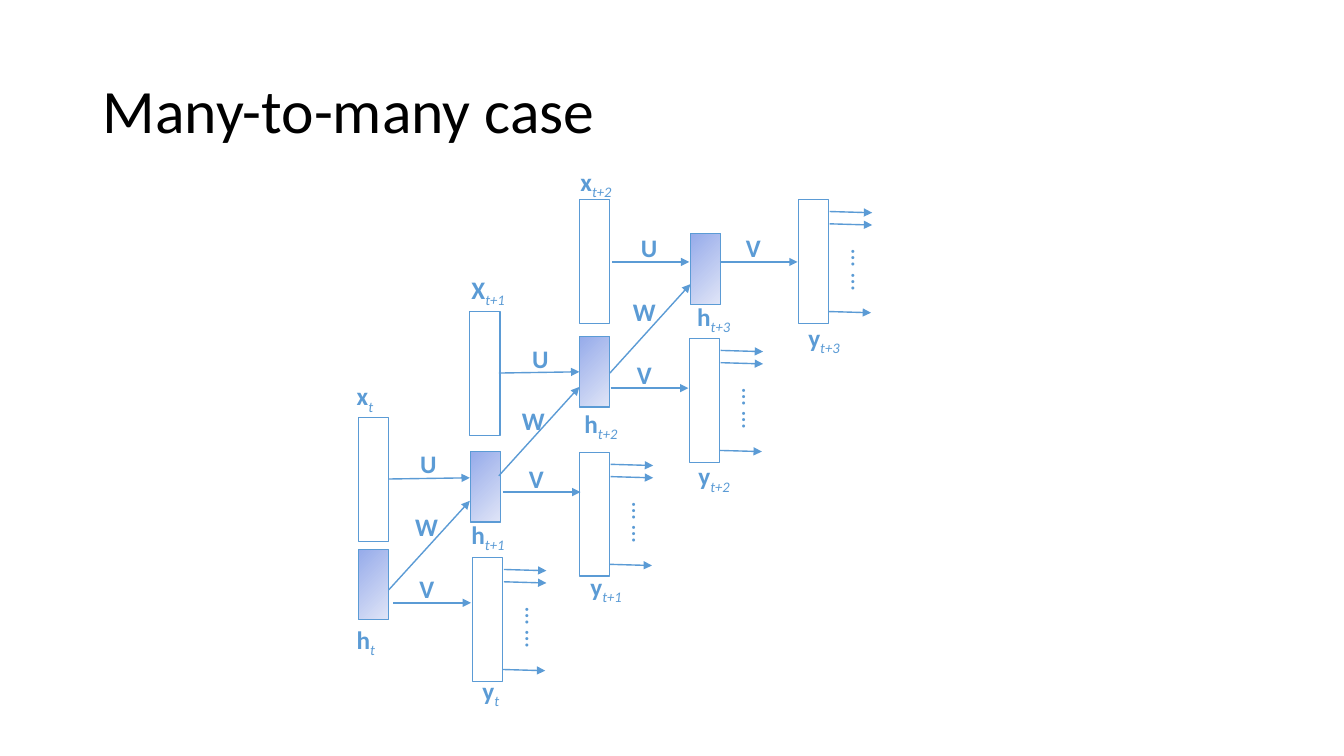
import dataclasses

import lxml.etree
import pptx
import pptx.dml.color
import pptx.enum.dml
import pptx.enum.shapes
import pptx.enum.text
import pptx.oxml
import pptx.oxml.ns
import pptx.util
from pptx.util import Cm


@dataclasses.dataclass(frozen=True)
class Theme:
    font: str = "Calibri"
    title_size: int = 44
    label_size: int = 18
    title_color: str = "000000"
    accent: str = "5B9BD5"
    plain: str = "FFFFFF"
    gradient: tuple = ("96ABEA", "E0E5F7")
    line_width: int = 1


BOX_WIDTH, TALL, SHORT = 0.76, 3.12, 1.78
LABEL_WIDTH, WEIGHT_WIDTH, LABEL_HEIGHT = 1.85, 0.99, 1.02
STEPS = ("t", "t+1", "t+2", "t+3")

INPUTS = [(9.04, 10.52), (11.84, 7.85), (14.6, 5.03)]
INPUT_LABELS = [("x", 8.74, 9.47), ("X", 11.63, 6.78), ("x", 14.38, 4.06)]
HIDDEN = [(9.04, 13.84), (11.86, 11.38), (14.6, 8.48), (17.4, 5.89)]
HIDDEN_LABELS = [("h", 8.74, 15.6), ("h", 11.63, 12.95),
                 ("h", 14.48, 10.16), ("h", 17.32, 7.47)]
OUTPUTS = [(11.91, 14.05), (14.6, 11.4), (17.37, 8.53), (20.12, 5.03)]
OUTPUT_LABELS = [("y", 11.91, 16.89), ("y", 14.63, 14.27),
                 ("y", 17.35, 11.48), ("y", 20.12, 8.0)]

WEIGHTS = {
    "U": [((9.8, 12.07), (11.84, 12.04), (10.34, 11.18)),
          ((12.57, 9.4), (14.6, 9.37), (13.16, 8.53)),
          ((15.42, 6.6), (17.37, 6.6), (15.9, 5.74))],
    "W": [((9.8, 14.86), (11.84, 12.62), (10.21, 12.75)),
          ((12.57, 11.99), (14.6, 9.75), (12.9, 10.08)),
          ((15.37, 9.4), (17.4, 7.16), (15.7, 7.34))],
    "V": [((x, y), (x + 1.96, y), (x + 0.41, y - 0.86))
          for x, y in [(9.91, 15.19), (12.67, 12.4), (15.39, 9.78), (18.14, 6.6)]],
}


def rgb(value):
    return pptx.dml.color.RGBColor.from_string(value)


class Diagram:
    """Draws network parts on one slide in one style, measured in centimetres."""

    def __init__(self, slide, theme):
        self.shapes = slide.shapes
        self.theme = theme

    def frame(self, x, y, width, height):
        frame = self.shapes.add_textbox(Cm(x), Cm(y), Cm(width), Cm(height)).text_frame
        frame.word_wrap = True
        return frame

    def run(self, frame, text, size, color, bold=False, italic=False):
        run = frame.paragraphs[0].add_run()
        run.text = text
        font = run.font
        font.name, font.size = self.theme.font, pptx.util.Pt(size)
        font.bold, font.italic = bold, italic
        font.color.rgb = rgb(color)
        return run

    def title(self, text):
        frame = self.frame(2.34, 1.02, 29.21, 3.68)
        frame.vertical_anchor = pptx.enum.text.MSO_ANCHOR.MIDDLE
        frame.paragraphs[0].line_spacing = 0.9
        self.run(frame, text, self.theme.title_size, self.theme.title_color)

    def label(self, text, x, y, width, step=""):
        frame = self.frame(x, y, width, LABEL_HEIGHT)
        size, color = self.theme.label_size, self.theme.accent
        self.run(frame, text, size, color, bold=True)
        if step:
            subscript = self.run(frame, step, size, color, italic=True)
            subscript.font._element.set("baseline", "-25000")

    def ellipsis(self, x, y):
        frame = self.frame(x, y, 1.27, 1.55)
        frame._txBody.bodyPr.set("vert", "eaVert")
        self.run(frame, "… …", self.theme.label_size, self.theme.accent)

    def box(self, x, y, height, shaded=False):
        box = self.shapes.add_shape(pptx.enum.shapes.MSO_SHAPE.RECTANGLE,
                                    Cm(x), Cm(y), Cm(BOX_WIDTH), Cm(height))
        box.shadow.inherit = False
        box.line.color.rgb = rgb(self.theme.accent)
        box.line.width = pptx.util.Pt(self.theme.line_width)
        if shaded:
            box.fill.gradient()
            box.fill.gradient_angle = 315
            for stop, color in zip(box.fill.gradient_stops, self.theme.gradient):
                stop.color.rgb = rgb(color)
        else:
            box.fill.solid()
            box.fill.fore_color.rgb = rgb(self.theme.plain)

    def arrow(self, start, end):
        arrow = self.shapes.add_connector(pptx.enum.shapes.MSO_CONNECTOR.STRAIGHT,
                                          *map(Cm, start + end))
        arrow.line.color.rgb = rgb(self.theme.accent)
        arrow.line.width = pptx.util.Pt(self.theme.line_width)
        qn = pptx.oxml.ns.qn
        lxml.etree.SubElement(arrow.line._get_or_add_ln(), qn("a:tailEnd"), type="triangle")
        lxml.etree.SubElement(arrow._element.spPr, qn("a:effectLst"))

    def output(self, x, y):
        self.box(x, y, TALL)
        for dx, dy in [(0.79, 0.3), (0.79, 0.61), (0.76, 2.82)]:
            self.arrow((x + dx, y + dy), (x + dx + 1.07, y + dy + 0.03))
        self.ellipsis(x + 0.83, y + 1.02)


def main():
    deck = pptx.Presentation()
    deck.slide_width, deck.slide_height = Cm(33.87), Cm(19.05)
    diagram = Diagram(deck.slides.add_slide(deck.slide_layouts[6]), Theme())
    diagram.title("Many-to-many case")
    for x, y in INPUTS:
        diagram.box(x, y, TALL)
    for x, y in HIDDEN:
        diagram.box(x, y, SHORT, shaded=True)
    for x, y in OUTPUTS:
        diagram.output(x, y)
    for weight, links in WEIGHTS.items():
        for start, end, place in links:
            diagram.arrow(start, end)
            diagram.label(weight, *place, WEIGHT_WIDTH)
    for labels in (INPUT_LABELS, HIDDEN_LABELS, OUTPUT_LABELS):
        for (letter, x, y), step in zip(labels, STEPS):
            diagram.label(letter, x, y, LABEL_WIDTH, step)
    deck.save("out.pptx")


if __name__ == "__main__":
    main()
